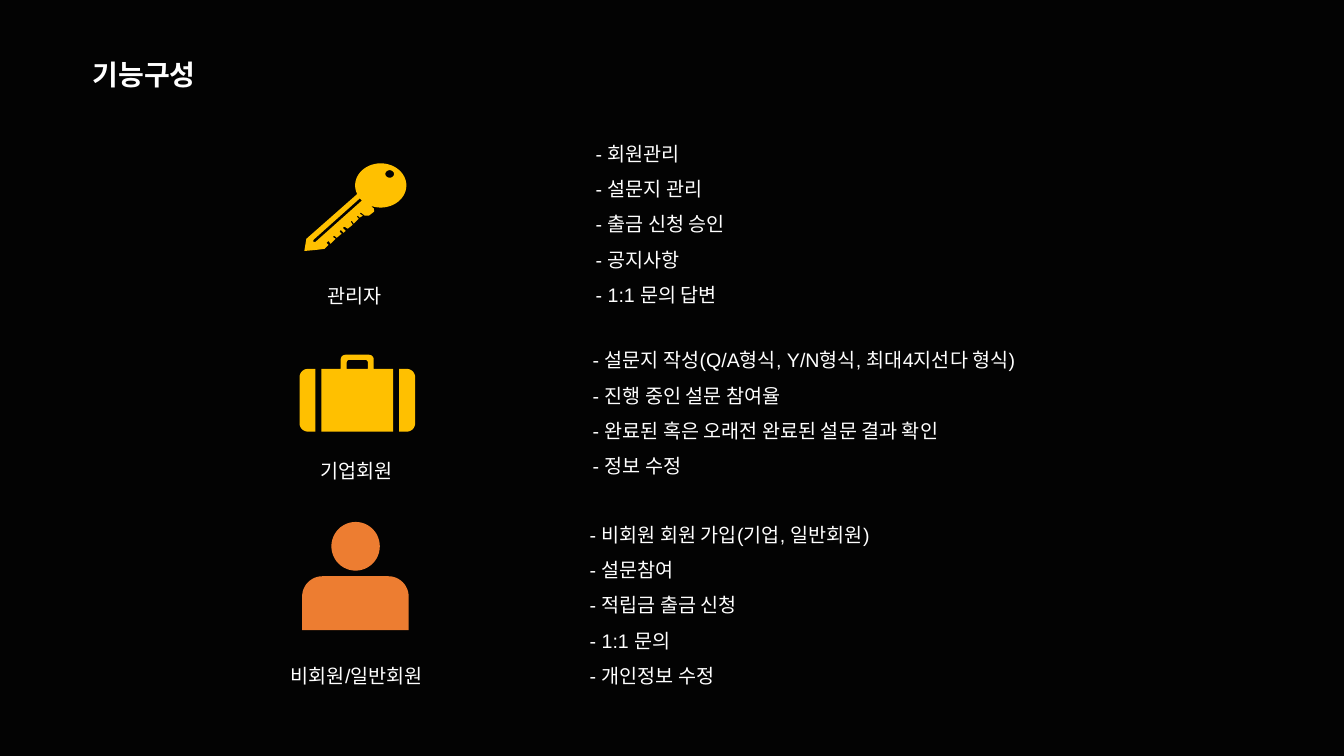
from dataclasses import dataclass
from math import cos, radians, sin

from pptx import Presentation
from pptx import util as u
from pptx.dml.color import RGBColor
from pptx.enum import text

Point = tuple[float, float]
Contour = list[Point]

BLACK, WHITE, GOLD, ORANGE = "030303", "FFFFFF", "FFC000", "ED7D31"


@dataclass
class Box:
    left: float
    top: float
    width: float
    height: float


@dataclass
class Role:
    icon: list[Contour]
    icon_color: str
    label: str
    label_box: Box
    features: list[str]
    features_box: Box
    indent: float


def rgb(color: str) -> RGBColor:
    return RGBColor.from_string(color)


def arc(cx: float, cy: float, rx: float, ry: float,
        start: float = 0, end: float = 360, steps: int = 48) -> Contour:
    """Points along an ellipse, clockwise, with angles in degrees."""
    angles = [radians(start + (end - start) * i / steps) for i in range(steps + 1)]
    return [(cx + rx * cos(a), cy + ry * sin(a)) for a in angles]


def panel(left: float, top: float, right: float, bottom: float,
          radii: tuple[float, float, float, float] = (0, 0, 0, 0)) -> Contour:
    """Rectangle with corner radii given clockwise from the top left."""
    corners = [(left, top, 1, 1), (right, top, -1, 1),
               (right, bottom, -1, -1), (left, bottom, 1, -1)]
    outline: Contour = []
    for i, ((x, y, dx, dy), r) in enumerate(zip(corners, radii)):
        if r:
            outline += arc(x + dx * r, y + dy * r, r, r, 180 + 90 * i, 270 + 90 * i, 12)
        else:
            outline.append((x, y))
    return outline


def key() -> list[Contour]:
    bit = [(267.1, 149), (267.3, 151.2), (263.5, 154.1), (260.6, 154.1)]
    teeth = [(257.8, 151.9), (257, 152.6), (259.2, 154.1), (257, 155.5),
             (255.6, 154.1), (254.9, 154.8), (256.3, 156.2), (252.7, 159.8),
             (251.3, 157.7), (250.6, 158.4), (252, 160.6), (248.4, 163.4),
             (246.2, 162), (244.8, 162.7), (247, 164.9), (245.5, 166.3),
             (243.4, 164.2), (242.6, 165.6), (244.1, 167), (240.5, 169.9),
             (239, 168.5), (237.6, 169.2), (239.8, 170.6), (236.2, 174.2),
             (234.7, 172.1), (233.3, 173.5), (234.7, 175)]
    tip = [(231.8, 177.8), (225.4, 178.6), (217.4, 179.3), (218.9, 170.6)]
    slit = [(257, 141.8), (223.9, 171.4), (223.9, 172.8), (225.4, 172.8), (258.5, 143.3)]
    head = arc(272, 132.5, 18.3, 15.8, 157, 473)
    return [head + bit + teeth + tip, slit, arc(278.4, 124.3, 3.1, 2.7)]


def briefcase() -> list[Contour]:
    top, bottom = 263.5, 308.3
    return [panel(214, top, 225.4, bottom, (6, 0, 0, 6)),
            panel(229.7, top, 280.8, bottom),
            panel(285.1, top, 296.6, bottom, (0, 6, 6, 0)),
            panel(243.4, 253.4, 267, top, (3.4, 3.4, 0, 0)),
            panel(247.7, 257, 262.8, top, (2, 2, 0, 0))]


def person() -> list[Contour]:
    return [arc(254, 390.2, 17.3, 17.4),
            panel(215.8, 411.6, 291.9, 450, (14.5, 14.5, 0, 0))]


def draw_icon(shapes, contours: list[Contour], color: str) -> None:
    outlines = [[(u.Pt(x), u.Pt(y)) for x, y in contour] for contour in contours]
    builder = shapes.build_freeform(*outlines[0][0])
    builder.add_line_segments(outlines[0][1:])
    for outline in outlines[1:]:
        builder.move_to(*outline[0])
        builder.add_line_segments(outline[1:])
    icon = builder.convert_to_shape()
    icon.shadow.inherit = False
    icon.fill.solid()
    icon.fill.fore_color.rgb = rgb(color)
    icon.line.fill.background()


def write(shapes, box: Box, lines: list[str], *, size: float = 14, font: str = "Arial",
          bold: bool = False, spacing: float = 1.5, indent: float = 0,
          align=text.PP_ALIGN.LEFT, fit=text.MSO_AUTO_SIZE.SHAPE_TO_FIT_TEXT) -> None:
    frame = shapes.add_textbox(u.Pt(box.left), u.Pt(box.top),
                               u.Pt(box.width), u.Pt(box.height)).text_frame
    frame.word_wrap = True
    frame.auto_size = fit
    frame.margin_left = u.Pt(7.2 + indent)
    frame.text = "\n".join(lines)
    for paragraph in frame.paragraphs:
        paragraph.alignment = align
        paragraph.line_spacing = spacing
        for run in paragraph.runs:
            run.font.size = u.Pt(size)
            run.font.name = font
            run.font.bold = bold
            run.font.color.rgb = rgb(WHITE)


ROLES = [
    Role(key(), GOLD, "관리자", Box(182.9, 190.8, 141.1, 29.5),
         ["회원관리", "설문지 관리", "출금 신청 승인", "공지사항", "1:1 문의 답변"],
         Box(404.6, 89.3, 440, 131), 13.7),
    Role(briefcase(), GOLD, "기업회원", Box(184.3, 316.1, 141.1, 29.5),
         ["설문지 작성(Q/A형식, Y/N형식, 최대4지선다 형식)", "진행 중인 설문 참여율",
          "완료된 혹은 오래전 완료된 설문 결과 확인", "정보 수정"],
         Box(402.5, 236.9, 440, 105.8), 13.7),
    Role(person(), ORANGE, "비회원/일반회원", Box(175, 462.2, 159.8, 29.5),
         ["비회원 회원 가입(기업, 일반회원)", "설문참여", "적립금 출금 신청",
          "1:1 문의", "개인정보 수정"],
         Box(391.7, 361.4, 440, 131), 22.3),
]


def main() -> None:
    deck = Presentation()
    deck.slide_width, deck.slide_height = u.Pt(960), u.Pt(540)
    slide = deck.slides.add_slide(deck.slide_layouts[6])
    slide.background.fill.solid()
    slide.background.fill.fore_color.rgb = rgb(BLACK)

    for role in ROLES:
        draw_icon(slide.shapes, role.icon, role.icon_color)
        write(slide.shapes, role.features_box, [f"- {name}" for name in role.features],
              indent=role.indent)
        write(slide.shapes, role.label_box, [role.label], align=text.PP_ALIGN.CENTER)
    write(slide.shapes, Box(59, 37.4, 203.8, 31.7), ["기능구성"], size=20,
          font="Calibri", bold=True, spacing=1.0, fit=text.MSO_AUTO_SIZE.NONE)
    deck.save("out.pptx")


if __name__ == "__main__":
    main()
